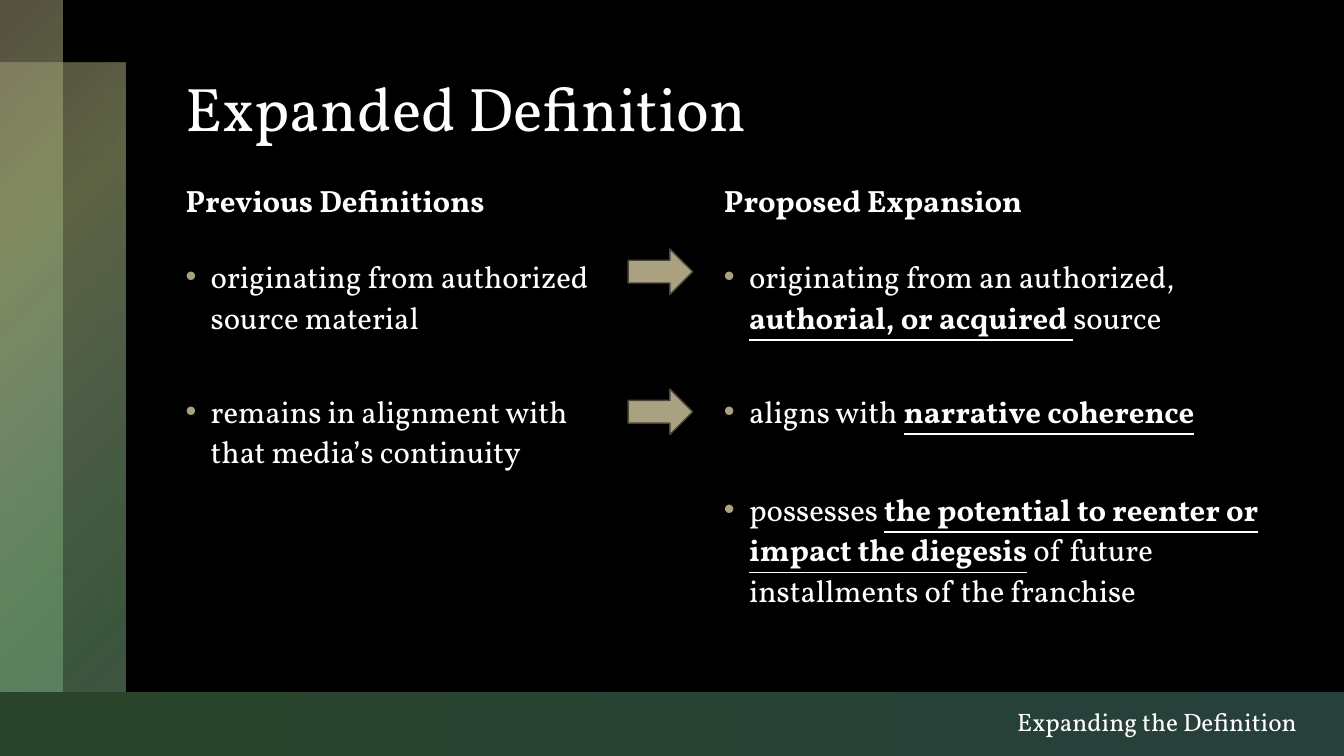
from pptx import Presentation
from pptx.dml.color import RGBColor
from pptx.enum.shapes import MSO_SHAPE as Shape
from pptx.enum.text import MSO_ANCHOR as Anchor, MSO_AUTO_SIZE as AutoSize, PP_ALIGN as Align
from pptx.oxml import parse_xml
from pptx.oxml.ns import nsdecls, qn
from pptx.util import Inches, Pt

FONT = "Vollkorn"
WHITE, TAN, ARROW_EDGE = "FFFFFF", "AAA180", "4B4738"
LEFT_COLUMN, RIGHT_COLUMN = 1.74, 7.08

# Gradient stops: position %, colour, opacity %
STRIP_STOPS = [(0, TAN, 50), (25, "9CA671", 60), (50, "8FA880", 55),
               (81, "76AD78", 50), (99, "81AB94", 50)]
BAND_STOPS = [(0, "29442A", 100), (100, "27403C", 100)]
CORNER_PATH = '<a:path path="circle"><a:fillToRect r="100000" b="100000"/></a:path>'
UPWARD = '<a:lin ang="16200000" scaled="0"/>'

# Each item: space before in points, then (text, emphasised) runs
PREVIOUS = [
    (0, [("originating from authorized source material", False)]),
    (38, [("remains in alignment with that media’s continuity", False)]),
]
PROPOSED = [
    (0, [("originating from an authorized, ", False),
         ("authorial, or acquired ", True), ("source", False)]),
    (38, [("aligns with ", False), ("narrative coherence", True)]),
    (41, [("possesses ", False),
          ("the potential to reenter or impact the diegesis", True),
          (" of future installments of the franchise", False)]),
]


def color(value):
    return RGBColor.from_string(value)


def place(shape, left, top, width, height):
    shape.left, shape.top = Inches(left), Inches(top)
    shape.width, shape.height = Inches(width), Inches(height)


def set_font(paragraph, size, bold=None):
    font = paragraph.font
    font.name, font.size, font.bold = FONT, Pt(size), bold
    font.color.rgb = color(WHITE)


def add_bullet(paragraph):
    properties = paragraph._p.get_or_add_pPr()
    properties.set("marL", str(Inches(0.25)))
    properties.set("indent", str(Inches(-0.25)))
    for xml in (f'<a:buClr {nsdecls("a")}><a:srgbClr val="{TAN}"/></a:buClr>',
                f'<a:buFont {nsdecls("a")} typeface="Arial"/>',
                f'<a:buChar {nsdecls("a")} char="•"/>'):
        properties.append(parse_xml(xml))


def fill_line(placeholder, box, text, size, anchor, bold=None):
    """Title or column heading: a single left-aligned line."""
    place(placeholder, *box)
    frame = placeholder.text_frame
    frame.auto_size, frame.vertical_anchor = AutoSize.NONE, anchor
    frame.text = text
    paragraph = frame.paragraphs[0]
    paragraph.alignment, paragraph.space_before = Align.LEFT, Pt(0)
    set_font(paragraph, size, bold)
    return paragraph


def fill_list(placeholder, box, items):
    place(placeholder, *box)
    frame = placeholder.text_frame
    frame.auto_size, frame.vertical_anchor = AutoSize.NONE, Anchor.TOP
    for index, (space, runs) in enumerate(items):
        paragraph = frame.add_paragraph() if index else frame.paragraphs[0]
        add_bullet(paragraph)
        paragraph.line_spacing, paragraph.space_before = 1.1, Pt(space)
        set_font(paragraph, 22)
        for text, emphasised in runs:
            run = paragraph.add_run()
            run.text = text
            if emphasised:
                run.font.bold = run.font.underline = True


def add_gradient_bar(slide, box, stops, direction):
    bar = slide.shapes.add_shape(Shape.RECTANGLE, *map(Inches, box))
    bar.shadow.inherit = False
    bar.line.fill.background()
    stop_xml = "".join(
        f'<a:gs pos="{position * 1000}"><a:srgbClr val="{value}">'
        f'<a:alpha val="{opacity * 1000}"/></a:srgbClr></a:gs>'
        for position, value, opacity in stops)
    gradient = parse_xml(f'<a:gradFill {nsdecls("a")} rotWithShape="1">'
                         f'<a:gsLst>{stop_xml}</a:gsLst>{direction}</a:gradFill>')
    bar._element.spPr.find(qn("a:prstGeom")).addnext(gradient)
    return bar


def add_arrow(slide, top):
    arrow = slide.shapes.add_shape(Shape.RIGHT_ARROW, Inches(6.23), Inches(top),
                                   Inches(0.64), Inches(0.45))
    arrow.shadow.inherit = False
    arrow.fill.solid()
    arrow.fill.fore_color.rgb = color(TAN)
    arrow.line.color.rgb = color(ARROW_EDGE)
    arrow.line.width = Pt(1)


def add_footer(slide, text):
    box = slide.shapes.add_textbox(Inches(6.92), Inches(6.96), Inches(6.04), Inches(0.4))
    frame = box.text_frame
    frame.word_wrap, frame.auto_size = True, AutoSize.SHAPE_TO_FIT_TEXT
    frame.text = text
    frame.paragraphs[0].alignment = Align.RIGHT
    set_font(frame.paragraphs[0], 18)


def main():
    presentation = Presentation()
    presentation.slide_width, presentation.slide_height = Inches(13.33), Inches(7.5)
    slide = presentation.slides.add_slide(presentation.slide_layouts.get_by_name("Comparison"))
    slide.background.fill.solid()
    slide.background.fill.fore_color.rgb = color("000000")

    # Side strips and bottom band
    add_gradient_bar(slide, (0, 0.62, 1.24, 6.88), STRIP_STOPS, CORNER_PATH)
    add_gradient_bar(slide, (0, 0, 0.62, 7.5), STRIP_STOPS, CORNER_PATH)
    band = add_gradient_bar(slide, (6.35, 0.52, 0.63, 13.33), BAND_STOPS, UPWARD)
    band.rotation = 90

    # Title and the two columns
    title, *columns = slide.placeholders
    fill_line(title, (LEFT_COLUMN, 0.61, 10.41, 0.9), "Expanded Definition", 44, Anchor.MIDDLE)
    contents = [(LEFT_COLUMN, 4.28, 4.28, "Previous Definitions", PREVIOUS),
                (RIGHT_COLUMN, 4.84, 5.71, "Proposed Expansion", PROPOSED)]
    for heading, body, content in zip(columns[::2], columns[1::2], contents):
        left, heading_width, body_width, text, items = content
        paragraph = fill_line(heading, (left, 1.61, heading_width, 0.61), text, 22,
                              Anchor.BOTTOM, bold=True)
        paragraph.line_spacing = 1.1
        fill_list(body, (left, 2.47, body_width, 4.15), items)

    # Arrows between the columns, and the footer
    for top in (2.47, 3.86):
        add_arrow(slide, top)
    add_footer(slide, "Expanding the Definition")
    presentation.save("out.pptx")


if __name__ == "__main__":
    main()
